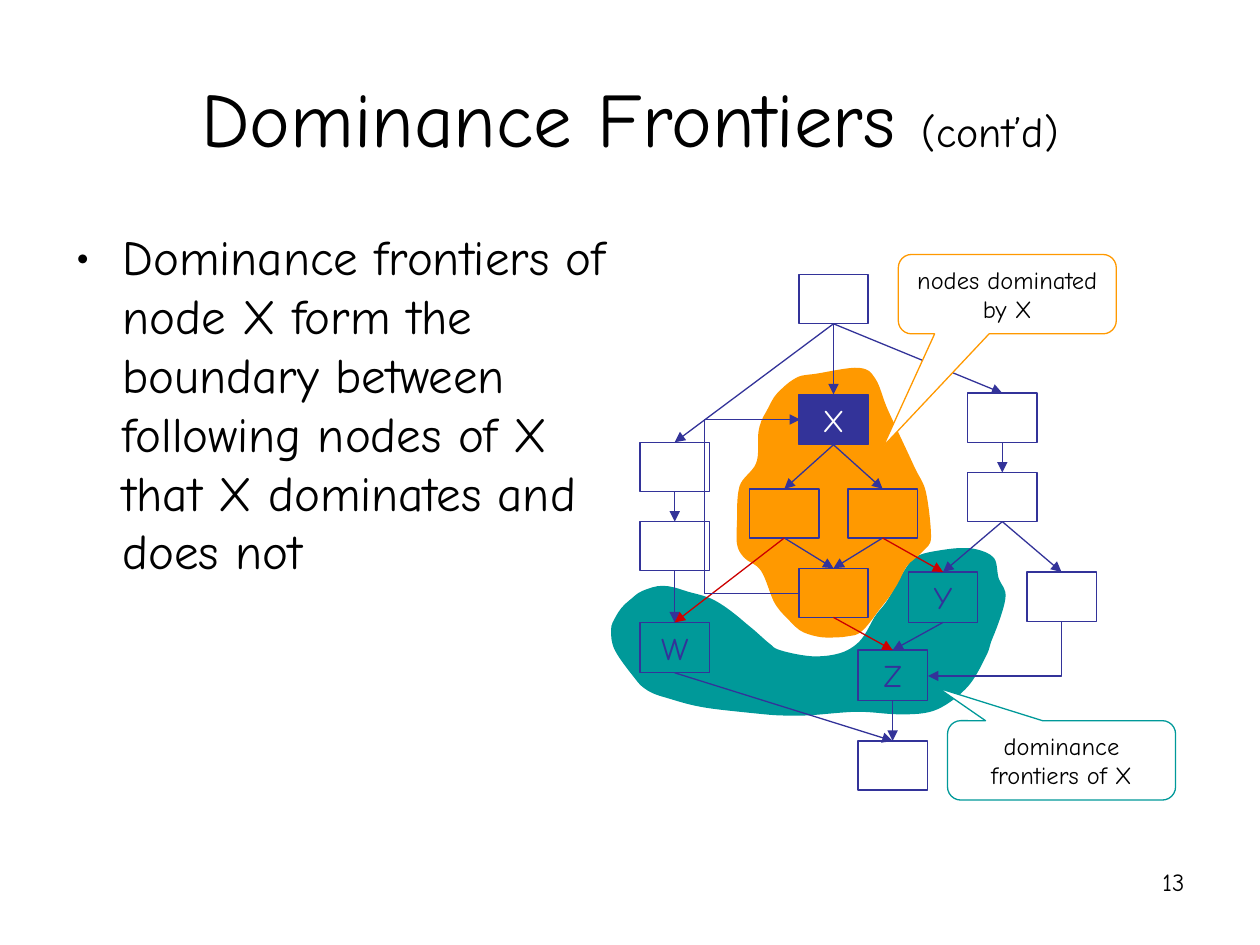
from lxml.etree import SubElement
from pptx import Presentation
from pptx.dml.color import RGBColor
from pptx.enum.shapes import MSO_CONNECTOR as LINK, MSO_SHAPE as SHAPE
from pptx.enum.text import MSO_ANCHOR as ANCHOR, MSO_AUTO_SIZE as AUTO, PP_ALIGN as ALIGN
from pptx.oxml.ns import qn
from pptx.util import Pt

PX = 9144  # 100 px to the inch
FONT = "Comic Neue"
BLACK = RGBColor(0x00, 0x00, 0x00)
WHITE = RGBColor(0xFF, 0xFF, 0xFF)
NAVY = RGBColor(0x33, 0x33, 0x99)
RED = RGBColor(0xCC, 0x00, 0x00)
ORANGE = RGBColor(0xFF, 0x99, 0x00)
TEAL = RGBColor(0x00, 0x99, 0x99)
TOP, LEFT, BOTTOM, RIGHT = range(4)


def write(shape, text, size, color=BLACK, align=ALIGN.LEFT, anchor=ANCHOR.TOP, bullet=None):
    frame = shape.text_frame
    frame.word_wrap = True
    frame.auto_size = AUTO.NONE
    frame.vertical_anchor = anchor
    paragraph = frame.paragraphs[0]
    paragraph.alignment = align
    if bullet:
        properties = paragraph._p.get_or_add_pPr()
        properties.set("marL", str(Pt(27)))
        properties.set("indent", str(-Pt(27)))
        SubElement(properties, qn("a:buFont"), typeface=FONT)
        SubElement(properties, qn("a:buChar"), char=bullet)
    run = paragraph.add_run()
    run.text = text
    run.font.name = FONT
    run.font.size = Pt(size)
    run.font.color.rgb = color


def style_link(link, color=NAVY):
    link.line.color.rgb = color
    link.line.width = Pt(0.75)
    SubElement(link.line._get_or_add_ln(), qn("a:tailEnd"), type="triangle")
    SubElement(link._element.spPr, qn("a:effectLst"))


deck = Presentation()
deck.slide_width, deck.slide_height = 1000 * PX, 750 * PX
slide = deck.slides.add_slide(deck.slide_layouts[5])
shapes = slide.shapes

# Title
title = shapes.title
title.left, title.top, title.width, title.height = 50 * PX, 30 * PX, 900 * PX, 125 * PX
for text, size in (("Dominance Frontiers ", 44), ("(cont’d)", 24)):
    write(title, text, size, align=ALIGN.CENTER, anchor=ANCHOR.MIDDLE)

# Definition and page number
definition = shapes.add_textbox(50 * PX, 175 * PX, 442 * PX, 495 * PX)
write(definition, "Dominance frontiers of node X form the boundary between "
      "following nodes of X that X dominates and does not", 28, bullet="•")
page_number = shapes.add_textbox(717 * PX, 683 * PX, 233 * PX, 52 * PX)
write(page_number, "13", 14, align=ALIGN.RIGHT)

# Regions: smooth closed curves through their outline points
frontier_outline = [
    (793, 460), (789, 443), (775, 436), (763, 435), (745, 437), (727, 442), (717, 454),
    (704, 477), (694, 490), (684, 507), (668, 518), (647, 521), (619, 516), (611, 511),
    (596, 498), (584, 488), (564, 475), (544, 469), (526, 465), (510, 469), (499, 477),
    (489, 489), (485, 500), (488, 516), (502, 536), (511, 546), (526, 553), (551, 560),
    (578, 564), (607, 567), (635, 568), (681, 565), (714, 567), (744, 563), (769, 544),
    (783, 520), (788, 506), (798, 475)]
dominated_outline = [
    (695, 301), (682, 292), (645, 297), (630, 301), (617, 312), (608, 327), (602, 343),
    (600, 368), (587, 386), (585, 410), (585, 432), (590, 442), (604, 453), (614, 477),
    (625, 491), (638, 502), (656, 506), (673, 505), (684, 501), (701, 480), (712, 464),
    (720, 449), (732, 438), (739, 426), (735, 391), (725, 369), (705, 326)]
for outline, color in ((frontier_outline, TEAL), (dominated_outline, ORANGE)):
    builder = shapes.build_freeform(*outline[0], scale=PX)
    builder.add_line_segments(outline[1:] + outline[:1], close=True)
    region = builder.convert_to_shape()
    region.shadow.inherit = False
    region.fill.solid()
    region.fill.fore_color.rgb = color
    region.line.fill.background()
    # Each straight segment becomes a curve, with handles set by its neighbours
    origin = [min(axis) for axis in zip(*outline)]
    for i, segment in enumerate(list(region._element.iter(qn("a:lnTo")))):
        before, start, end, after = (outline[(i + k) % len(outline)] for k in (-1, 0, 1, 2))
        leaving = [s + (e - b) / 6 for b, s, e in zip(before, start, end)]
        arriving = [e - (a - s) / 6 for s, e, a in zip(start, end, after)]
        segment.clear()
        segment.tag = qn("a:cubicBezTo")
        for point in (leaving, arriving, end):
            x, y = (str(round(value - zero)) for value, zero in zip(point, origin))
            SubElement(segment, qn("a:pt"), x=x, y=y)

# Flow graph nodes: left, top, height
node_places = {
    "entry": (634, 218, 39), "X": (634, 313, 40), "then": (595, 388, 39),
    "else": (673, 388, 39), "join": (634, 451, 39), "left 1": (508, 351, 39),
    "left 2": (508, 414, 39), "W": (508, 494, 40), "right 1": (768, 312, 39),
    "right 2": (768, 375, 39), "Y": (721, 454, 40), "right 3": (815, 454, 39),
    "Z": (681, 516, 40), "exit": (681, 588, 39)}
nodes = {}
for name, (left, top, height) in node_places.items():
    node = shapes.add_shape(SHAPE.RECTANGLE, left * PX, top * PX, 55 * PX, height * PX)
    node.shadow.inherit = False
    node.line.color.rgb = NAVY
    node.line.width = Pt(0.75)
    if name == "X":
        node.fill.solid()
        node.fill.fore_color.rgb = NAVY
    else:
        node.fill.background()
    if name in "WXYZ":
        write(node, name, 18, color=WHITE if name == "X" else NAVY,
              align=ALIGN.CENTER, anchor=ANCHOR.MIDDLE)
    nodes[name] = node

# Straight edges, red where they leave the dominated region
edges = [
    ("entry", "X", NAVY), ("entry", "left 1", NAVY), ("entry", "right 1", NAVY),
    ("X", "then", NAVY), ("X", "else", NAVY), ("then", "join", NAVY), ("else", "join", NAVY),
    ("left 1", "left 2", NAVY), ("left 2", "W", NAVY), ("W", "exit", NAVY),
    ("right 1", "right 2", NAVY), ("right 2", "Y", NAVY), ("right 2", "right 3", NAVY),
    ("Y", "Z", NAVY), ("Z", "exit", NAVY),
    ("then", "W", RED), ("else", "Y", RED), ("join", "Z", RED)]
for source, target, color in edges:
    edge = shapes.add_connector(LINK.STRAIGHT, 0, 0, 0, 0)
    edge.begin_connect(nodes[source], BOTTOM)
    edge.end_connect(nodes[target], TOP)
    style_link(edge, color)

# Loop edge from the join back to X, bending 76 px out to the left
loop_edge = shapes.add_connector(LINK.ELBOW, 634 * PX, 471 * PX, 635 * PX, 333 * PX)
loop_guides = loop_edge._element.spPr.prstGeom.get_or_add_avLst()
SubElement(loop_guides, qn("a:gd"), name="adj1", fmla="val -7600000")
style_link(loop_edge)

# Corner edge from the right branch down and left into Z
corner_edge = shapes.add_connector(LINK.ELBOW, 768 * PX, 462 * PX, 811 * PX, 568 * PX)
corner_edge._element.spPr.prstGeom.set("prst", "bentConnector2")
corner_edge._element.spPr.xfrm.set("rot", str(90 * 60000))
style_link(corner_edge)

# Callouts
callouts = [
    ("nodes dominated by X", 713, 202, 173, ORANGE, (-0.57, 1.92)),
    ("dominance frontiers of X", 752, 572, 181, TEAL, (-0.54, -0.91))]
for text, left, top, width, color, tip in callouts:
    callout = shapes.add_shape(SHAPE.ROUNDED_RECTANGULAR_CALLOUT,
                               left * PX, top * PX, width * PX, 63 * PX)
    callout.adjustments[0], callout.adjustments[1] = tip
    callout.shadow.inherit = False
    callout.fill.solid()
    callout.fill.fore_color.rgb = WHITE
    callout.line.color.rgb = color
    callout.line.width = Pt(0.75)
    write(callout, text, 14, align=ALIGN.CENTER)

deck.save("out.pptx")
